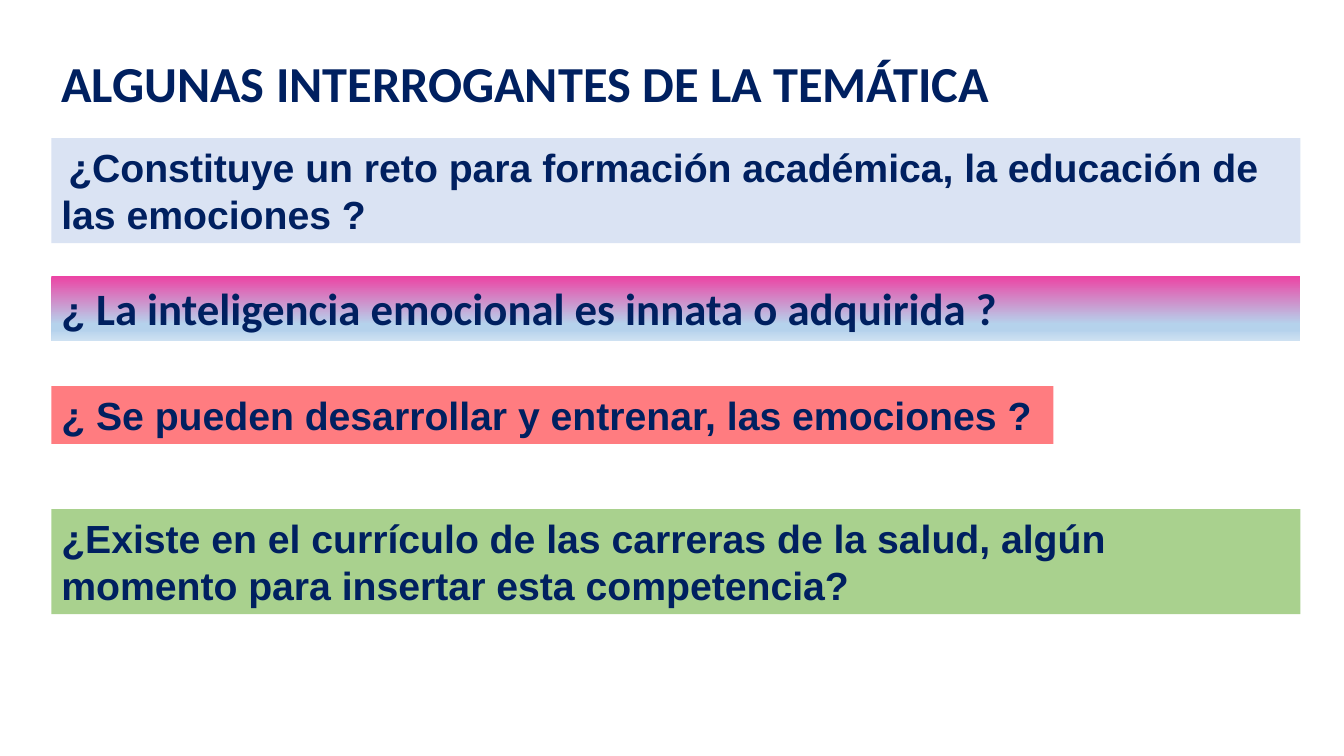
from lxml.etree import SubElement
from pptx import Presentation
from pptx.dml.color import RGBColor
from pptx.enum.shapes import MSO_SHAPE
from pptx.enum.text import MSO_ANCHOR, MSO_AUTO_SIZE, PP_ALIGN
from pptx.oxml.ns import qn
from pptx.util import Pt

NAVY = RGBColor(0x00, 0x20, 0x60)
RED = RGBColor(0xFF, 0x00, 0x00)
PALE_BLUE = RGBColor(0xDA, 0xE3, 0xF3)
CORAL = RGBColor(0xFF, 0x7C, 0x80)
GREEN = RGBColor(0xA9, 0xD1, 0x8E)
PINK = RGBColor(0xEC, 0x44, 0xA4)
SKY = RGBColor(0xB5, 0xD2, 0xEC)
LIGHT_SKY = RGBColor(0xCE, 0xE1, 0xF2)
PINK_TO_SKY = [(0, PINK), (74, SKY), (83, SKY), (100, LIGHT_SKY)]

LEFT = 36.7
FULL_WIDTH = 892.1


def arial(text):
    return text, "Arial", 28, True, NAVY


# Each question: top, width, height, fill, wrap, paragraphs made of runs
QUESTIONS = [
    (98.6, FULL_WIDTH, 75.1, PALE_BLUE, True, [[
        (" ", "Arial", 18, False, RED),
        arial("¿Constituye un reto para formación académica, "
              "la educación de las emociones ?")]]),
    (197.3, FULL_WIDTH, 46.1, PINK_TO_SKY, True, [[
        arial("¿ "),
        ("La inteligencia emocional es innata o adquirida ?", "Calibri", 32, True, NAVY)]]),
    (275.8, 715.7, 41.2, CORAL, False, [
        [arial("¿ Se pueden desarrollar y entrenar, las emociones ?")]]),
    (363.6, FULL_WIDTH, 75.1, GREEN, True, [
        [arial("¿Existe en el currículo de las carreras de la salud, algún")],
        [arial("momento para insertar esta competencia?")]]),
]


def write_text(text_frame, paragraphs, wrap):
    text_frame.auto_size = MSO_AUTO_SIZE.NONE
    text_frame.word_wrap = wrap
    text_frame.vertical_anchor = MSO_ANCHOR.TOP
    for index, runs in enumerate(paragraphs):
        paragraph = text_frame.add_paragraph() if index else text_frame.paragraphs[0]
        paragraph.alignment = PP_ALIGN.LEFT
        for text, font_name, size, bold, color in runs:
            run = paragraph.add_run()
            run.text = text
            run.font.name = font_name
            run.font.size = Pt(size)
            run.font.bold = bold
            run.font.color.rgb = color


def fill_gradient(shape, stops):
    """Fill from top to bottom with (percent, colour) stops."""
    shape.fill.gradient()
    shape.fill.gradient_angle = 270
    stop_list = shape._element.spPr.find(qn("a:gradFill")).find(qn("a:gsLst"))
    for old_stop in list(stop_list):
        stop_list.remove(old_stop)
    for percent, color in stops:
        stop = SubElement(stop_list, qn("a:gs"), pos=str(percent * 1000))
        SubElement(stop, qn("a:srgbClr"), val=str(color))


def place_title(slide, left, top, width, height):
    title = slide.shapes.title
    title.left, title.top = Pt(left), Pt(top)
    title.width, title.height = Pt(width), Pt(height)
    heading = ("ALGUNAS INTERROGANTES DE LA TEMÁTICA", "Calibri", 36, True, NAVY)
    write_text(title.text_frame, [[heading]], wrap=False)


def add_question(slide, left, top, width, height, fill, wrap, paragraphs):
    band = slide.shapes.add_shape(
        MSO_SHAPE.RECTANGLE, Pt(left), Pt(top), Pt(width), Pt(height))
    band.shadow.inherit = False
    band.line.fill.background()
    if isinstance(fill, list):
        fill_gradient(band, fill)
    else:
        band.fill.solid()
        band.fill.fore_color.rgb = fill
    write_text(band.text_frame, paragraphs, wrap)


def main():
    presentation = Presentation()
    presentation.slide_width, presentation.slide_height = Pt(960), Pt(540)
    slide = presentation.slides.add_slide(presentation.slide_layouts[5])
    place_title(slide, LEFT, 33.8, 692.6, 51.1)
    for question in QUESTIONS:
        add_question(slide, LEFT, *question)
    presentation.save("out.pptx")


if __name__ == "__main__":
    main()
